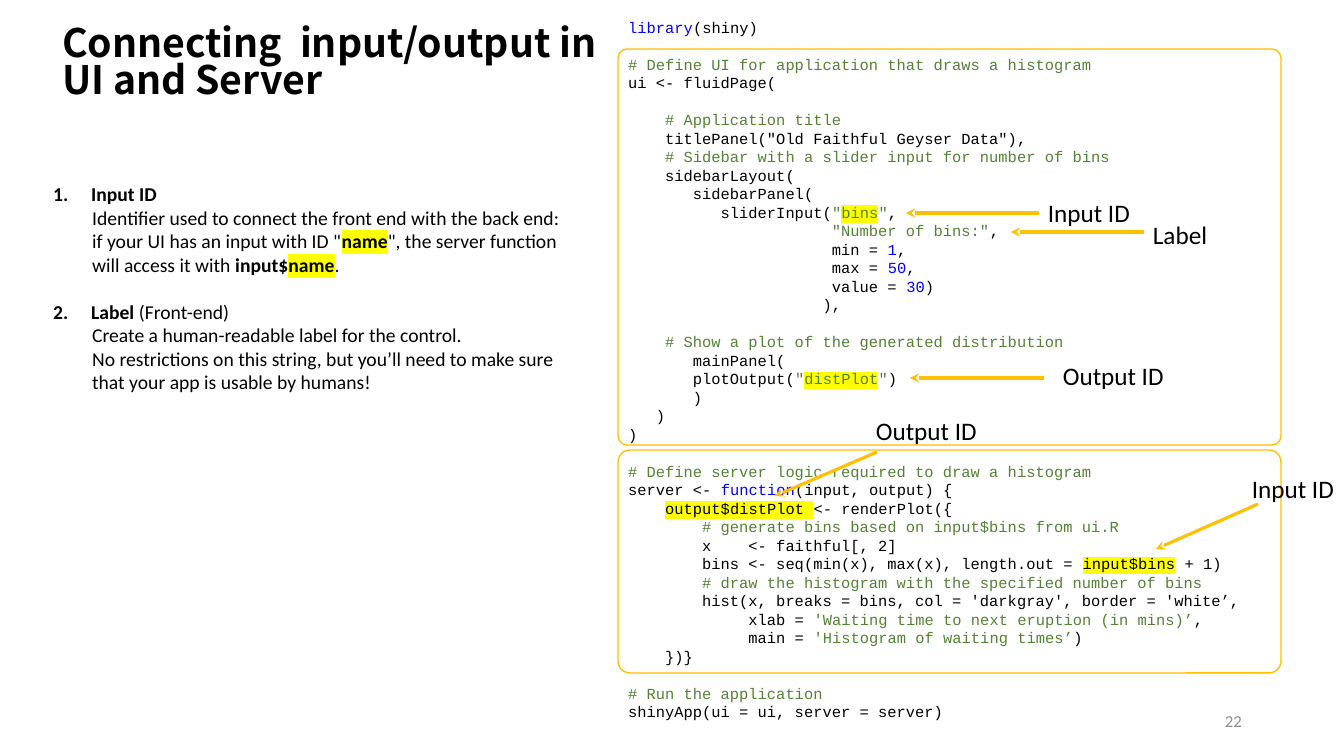
"""Build the slide on connecting input and output IDs in UI and server."""
from dataclasses import dataclass

from lxml import etree
from pptx import Presentation
from pptx.dml.color import RGBColor
from pptx.enum.shapes import MSO_CONNECTOR, MSO_SHAPE
from pptx.enum.text import MSO_ANCHOR, MSO_AUTO_SIZE, PP_ALIGN
from pptx.oxml.ns import qn
from pptx.util import Pt

STRAIGHT = MSO_CONNECTOR.STRAIGHT
ROUNDED = MSO_SHAPE.ROUNDED_RECTANGLE
TOP, MIDDLE = MSO_ANCHOR.TOP, MSO_ANCHOR.MIDDLE
LEFT, RIGHT = PP_ALIGN.LEFT, PP_ALIGN.RIGHT
NO_AUTOFIT = MSO_AUTO_SIZE.NONE

EMU_PER_PX = 914400 / 100.8
LINE_PITCH = 1.2
BODY, CODE, HEADING = "Calibri", "Courier New", "Noto Sans CJK KR"
COLORS = {
    "black": "000000", "green": "548235", "blue": "0000FF",
    "grey": "8C8C8C", "amber": "FFC000", "yellow": "FFFF00",
}


@dataclass
class Run:
    text: str
    color: str = "black"
    bold: bool = False
    marked: bool = False


@dataclass
class Item:
    runs: list[Run]
    number: int = 0
    gap: bool = False


@dataclass
class Frame:
    top: int
    height: int
    radius: float


@dataclass
class Label:
    text: str
    x: int
    y: int
    width: int


@dataclass
class Arrow:
    x1: int
    y1: int
    x2: int
    y2: int


def green(text: str, marked: bool = False) -> Run:
    return Run(text, "green", marked=marked)


def blue(text: str) -> Run:
    return Run(text, "blue")


def bold(text: str, marked: bool = False) -> Run:
    return Run(text, bold=True, marked=marked)


TITLE = ["Connecting  input/output in", "UI and Server"]
ITEMS = [
    Item([bold("Input ID")], number=1),
    Item([
        Run("Identifier used to connect the front end with the back end: "
            "if your UI has an input with ID \""),
        bold("name", marked=True),
        Run("\", the server function will access it with "),
        bold("input$"), bold("name", marked=True), Run("."),
    ]),
    Item([bold("Label "), Run("(Front-end)")], number=2, gap=True),
    Item([Run("Create a human-readable label for the control.")]),
    Item([Run("No restrictions on this string, but you’ll need to make sure "
              "that your app is usable by humans!")]),
]
CODE_LINES = [
    [blue("library"), Run("(shiny)")],
    [],
    [green("# Define UI for application that draws a histogram")],
    [Run("ui <- fluidPage(")],
    [],
    [green("    # Application title")],
    [Run("    titlePanel(\"Old Faithful Geyser Data\"),")],
    [green("    # Sidebar with a slider input for number of bins")],
    [Run("    sidebarLayout(")],
    [Run("       sidebarPanel(")],
    [Run("          sliderInput("), green("\""), green("bins", True), green("\""), Run(",")],
    [green("                      \"Number of bins:\""), Run(",")],
    [Run("                      min ="), blue(" 1"), Run(",")],
    [Run("                      max = "), blue("50"), Run(",")],
    [Run("                      value = "), blue("30"), Run(")")],
    [Run("                     ),")],
    [],
    [green("    # Show a plot of the generated distribution")],
    [Run("       mainPanel(")],
    [Run("       plotOutput("), green("\""), green("distPlot", True), green("\""), Run(")")],
    [Run("       )")],
    [Run("   )")],
    [Run(")")],
    [],
    [green("# Define server logic required to draw a histogram")],
    [Run("server <- "), blue("function"), Run("(input, output) {")],
    [Run("    "), Run("output$distPlot ", marked=True), Run("<- renderPlot({")],
    [green("        # generate bins based on input$bins from ui.R")],
    [Run("        x    <- faithful[, 2]")],
    [Run("        bins <- seq(min(x), max(x), length.out = "),
     Run("input$bins", marked=True), Run(" + 1)")],
    [green("        # draw the histogram with the specified number of bins")],
    [Run("        hist(x, breaks = bins, col = 'darkgray', border = 'white’,")],
    [Run("             xlab = "), green("'Waiting time to next eruption (in mins)’"), Run(",")],
    [Run("             main = "), green("'Histogram of waiting times’"), Run(")")],
    [Run("    })}")],
    [],
    [green("# Run the application")],
    [Run("shinyApp(ui = ui, server = server)")],
]
FRAMES = [Frame(450, 223, 0.054), Frame(49, 396, 0.023)]
LABELS = [
    Label("Input ID", 1038, 192, 103), Label("Label", 1143, 214, 76),
    Label("Input ID", 1242, 468, 103), Label("Output ID", 1053, 355, 122),
    Label("Output ID", 866, 410, 122),
]
ARROWS = [
    Arrow(1144, 232, 1011, 232), Arrow(1039, 213, 906, 213),
    Arrow(1258, 504, 1156, 549), Arrow(1044, 378, 910, 378),
    Arrow(877, 452, 775, 496),
]


def px(value: float) -> int:
    return round(value * EMU_PER_PX)


def rgb(name: str) -> RGBColor:
    return RGBColor.from_string(COLORS[name])


def place(sp, x: int, y: int, w: int, h: int, anchor=TOP, wrap: bool = True):
    sp.left, sp.top, sp.width, sp.height = px(x), px(y), px(w), px(h)
    tf = sp.text_frame
    tf.auto_size, tf.word_wrap, tf.vertical_anchor = NO_AUTOFIT, wrap, anchor
    return tf


def write(tf, runs: list[Run], *, size: float, font: str = BODY, align=LEFT, pitch: float = LINE_PITCH,
          gap: bool = False, margin: int = 0, indent: int = 0, number: int = 0) -> None:
    first = tf.paragraphs[0]
    p = tf.add_paragraph() if first.runs else first
    p.alignment, p.line_spacing = align, Pt(size * pitch)
    p.space_before, p.space_after = Pt(size * pitch if gap else 0), Pt(0)
    pPr = p._p.get_or_add_pPr()
    pPr.set("marL", str(px(margin)))
    pPr.set("indent", str(px(indent)))
    if number:
        etree.SubElement(pPr, qn("a:buAutoNum"), type="arabicPeriod", startAt=str(number))
    else:
        etree.SubElement(pPr, qn("a:buNone"))
    for run in runs:
        r = p.add_run()
        r.text = run.text
        r.font.size, r.font.bold = Pt(size), run.bold
        r.font.color.rgb = rgb(run.color)
        if run.marked:
            mark = etree.SubElement(r.font._element, qn("a:highlight"))
            etree.SubElement(mark, qn("a:srgbClr"), val=COLORS["yellow"])
        r.font.name = font


def draw_frame(s, frame: Frame) -> None:
    sp = s.shapes.add_shape(ROUNDED, px(618), px(frame.top), px(663), px(frame.height))
    sp.adjustments[0] = frame.radius
    sp.shadow.inherit = False
    sp.fill.background()
    sp.line.color.rgb, sp.line.width = rgb("amber"), Pt(1)


def draw_arrow(s, arrow: Arrow) -> None:
    cxn = s.shapes.add_connector(STRAIGHT, px(arrow.x1), px(arrow.y1), px(arrow.x2), px(arrow.y2))
    cxn.line.color.rgb, cxn.line.width = rgb("amber"), Pt(2.25)
    etree.SubElement(cxn.line._get_or_add_ln(), qn("a:tailEnd"), type="stealth")
    etree.SubElement(cxn._element.spPr, qn("a:effectLst"))


def main() -> None:
    prs = Presentation()
    prs.slide_width, prs.slide_height = px(1344), px(756)
    s = prs.slides.add_slide(prs.slide_layouts[3])
    title, items, code = s.placeholders
    tf = place(title, 52, 19, 593, 92, MIDDLE)
    for line in TITLE:
        write(tf, [bold(line)], size=28, font=HEADING, pitch=0.96)
    tf = place(items, 43, 177, 541, 224)
    for item in ITEMS:
        write(tf, item.runs, size=14, gap=item.gap, number=item.number,
              margin=38 if item.number else 39, indent=-38 if item.number else 0)
    tf = place(code, 618, 13, 671, 718)
    for i, line in enumerate(CODE_LINES):
        if line:
            write(tf, line, size=11, font=CODE, gap=i > 0 and not CODE_LINES[i - 1])
    for frame in FRAMES:
        draw_frame(s, frame)
    for arrow in ARROWS:
        draw_arrow(s, arrow)
    for label in LABELS:
        sp = s.shapes.add_textbox(0, 0, 0, 0)
        write(place(sp, label.x, label.y, label.width, 40, wrap=False), [Run(label.text)], size=18)
    sp = s.shapes.add_textbox(0, 0, 0, 0)
    write(place(sp, 950, 701, 302, 40, MIDDLE), [Run("22", "grey")], size=12, align=RIGHT)
    prs.save("out.pptx")


if __name__ == "__main__":
    main()
